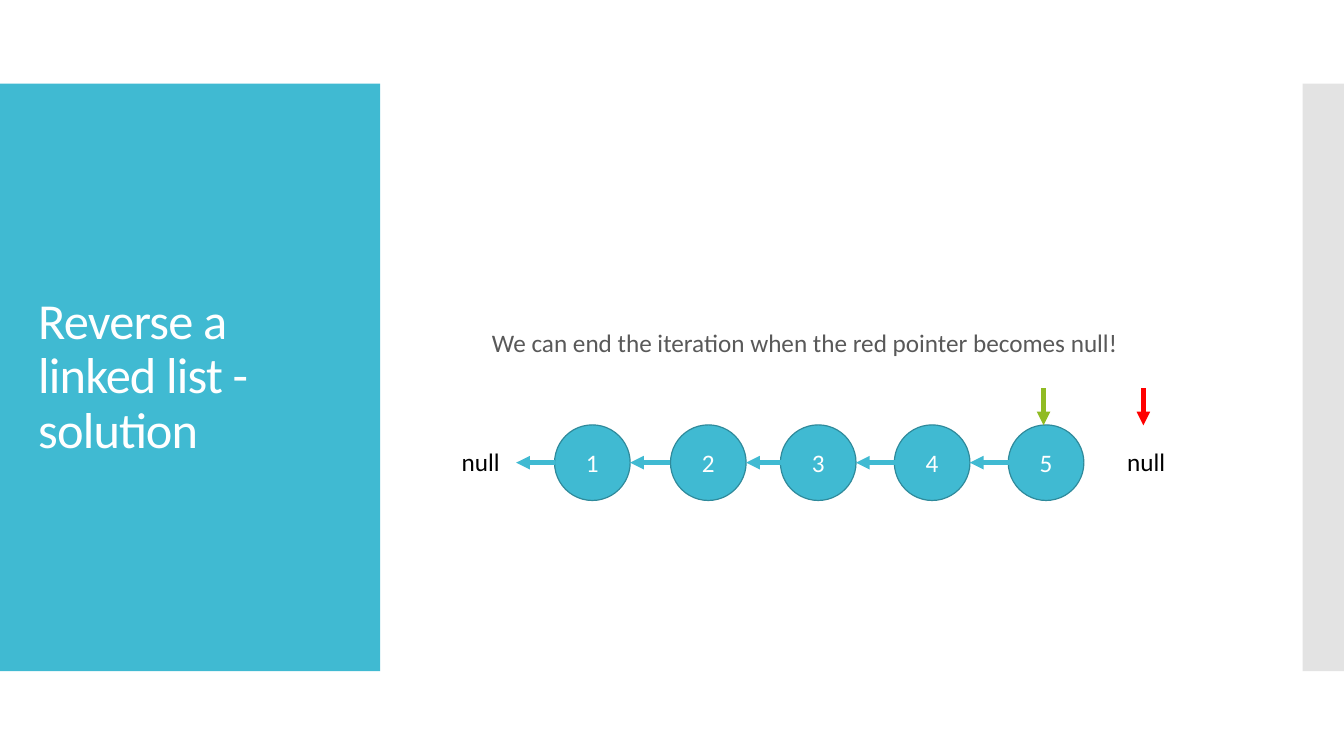
from dataclasses import dataclass

from lxml import etree
from pptx import Presentation
from pptx.dml.color import RGBColor
from pptx.enum.shapes import MSO_CONNECTOR, MSO_SHAPE
from pptx.enum.text import MSO_ANCHOR, PP_ALIGN
from pptx.oxml.ns import qn
from pptx.util import Inches, Pt

RECT, OVAL = MSO_SHAPE.RECTANGLE, MSO_SHAPE.OVAL
STRAIGHT = MSO_CONNECTOR.STRAIGHT
TOP, MIDDLE = MSO_ANCHOR.TOP, MSO_ANCHOR.MIDDLE
LEFT, CENTER = PP_ALIGN.LEFT, PP_ALIGN.CENTER


@dataclass(frozen=True)
class Theme:
    font: str = "Calibri"
    main: str = "40BAD2"
    edge: str = "2F8A9B"
    side: str = "C8C8C8"
    white: str = "FFFFFF"
    black: str = "000000"
    body: str = "595959"
    red: str = "FF0000"
    green: str = "90BB23"
    title: float = 36
    text: float = 18
    thin: float = 0.85
    thick: float = 3.25


THEME = Theme()


def color(code):
    return RGBColor.from_string(code)


def apply(target, values):
    for name, value in values.items():
        setattr(target, name, value)


def write(shape, text, tint, size=THEME.text, align=LEFT, anchor=TOP, space=1.0):
    """Fill a shape with one formatted paragraph and return its run."""
    frame = shape.text_frame
    apply(frame, {"word_wrap": True, "vertical_anchor": anchor})
    para = frame.paragraphs[0]
    apply(para, {"alignment": align, "line_spacing": space})
    run = para.add_run()
    run.text = text
    apply(run.font, {"name": THEME.font, "size": Pt(size)})
    run.font.color.rgb = color(tint)
    return run


def add_text(slide, box, text, tint, **style):
    shape = slide.shapes.add_textbox(*map(Inches, box))
    return write(shape, text, tint, **style)


def add_form(slide, kind, box, fill, edge=None):
    shape = slide.shapes.add_shape(kind, *map(Inches, box))
    shape.shadow.inherit = False
    shape.fill.solid()
    shape.fill.fore_color.rgb = color(fill)
    if edge:
        shape.line.color.rgb = color(edge)
        shape.line.width = Pt(THEME.thin)
    else:
        shape.line.fill.background()
    return shape


def add_arrow(slide, start, end, tint):
    line = slide.shapes.add_connector(STRAIGHT, *map(Inches, (*start, *end)))
    line.line.color.rgb = color(tint)
    line.line.width = Pt(THEME.thick)
    props = line._element.spPr
    etree.SubElement(props.find(qn("a:ln")), qn("a:tailEnd"), type="triangle")
    etree.SubElement(props, qn("a:effectLst"))


def add_title(slide, box):
    x, y, wide, high = box
    add_form(slide, RECT, box, THEME.main)
    run = add_text(slide, (x + 0.28, y + 0.4, wide - 0.55, high - 0.8),
                   "Reverse a linked list - solution", THEME.white,
                   size=THEME.title, anchor=MIDDLE, space=0.9)
    run.font._element.set("spc", "-60")


def add_side(slide, box):
    """Add the half-transparent strip at the right edge."""
    strip = add_form(slide, RECT, box, THEME.side)
    tint = strip._element.spPr.find(qn("a:solidFill")).find(qn("a:srgbClr"))
    etree.SubElement(tint, qn("a:alpha"), val="50000")


def add_list(slide, box):
    """Add the note, the reversed list and the two pointers."""
    x, y, wide, high = box
    add_text(slide, (x + 0.3, y, wide - 0.3, 0.4),
             "We can end the iteration when the red pointer becomes null!",
             THEME.body, anchor=MIDDLE, space=0.9)

    size, mid = 0.75, y + 1.37
    # Left edge of each node, and how far its arrow starts inside it
    nodes = ((1.02, 0), (2.17, 0), (3.26, 0.08), (4.39, 0.08), (5.52, 0.11))
    for number, (left, _) in enumerate(nodes, 1):
        node = add_form(slide, OVAL, (x + left, mid - size / 2, size, size),
                        THEME.main, THEME.edge)
        write(node, str(number), THEME.white, align=CENTER, anchor=MIDDLE)

    tip = 0.64
    for left, inset in nodes:
        add_arrow(slide, (x + left + inset, mid), (x + tip, mid), THEME.main)
        tip = left + size

    for left in (0, 6.6):
        add_text(slide, (x + left, mid - 0.21, 0.98, 0.4), "null", THEME.black)
    for left, tint in ((6.86, THEME.red), (5.87, THEME.green)):
        add_arrow(slide, (x + left, mid - 0.74), (x + left, mid - 0.37), tint)


def main():
    deck = Presentation()
    apply(deck, {"slide_width": Inches(13.33), "slide_height": Inches(7.5)})
    slide = deck.slides.add_slide(deck.slide_layouts[6])
    add_title(slide, (0, 0.83, 3.77, 5.83))
    add_side(slide, (12.92, 0.83, 0.41, 5.83))
    add_list(slide, (4.48, 3.22, 7.75, 1.75))
    deck.save("out.pptx")


if __name__ == "__main__":
    main()
